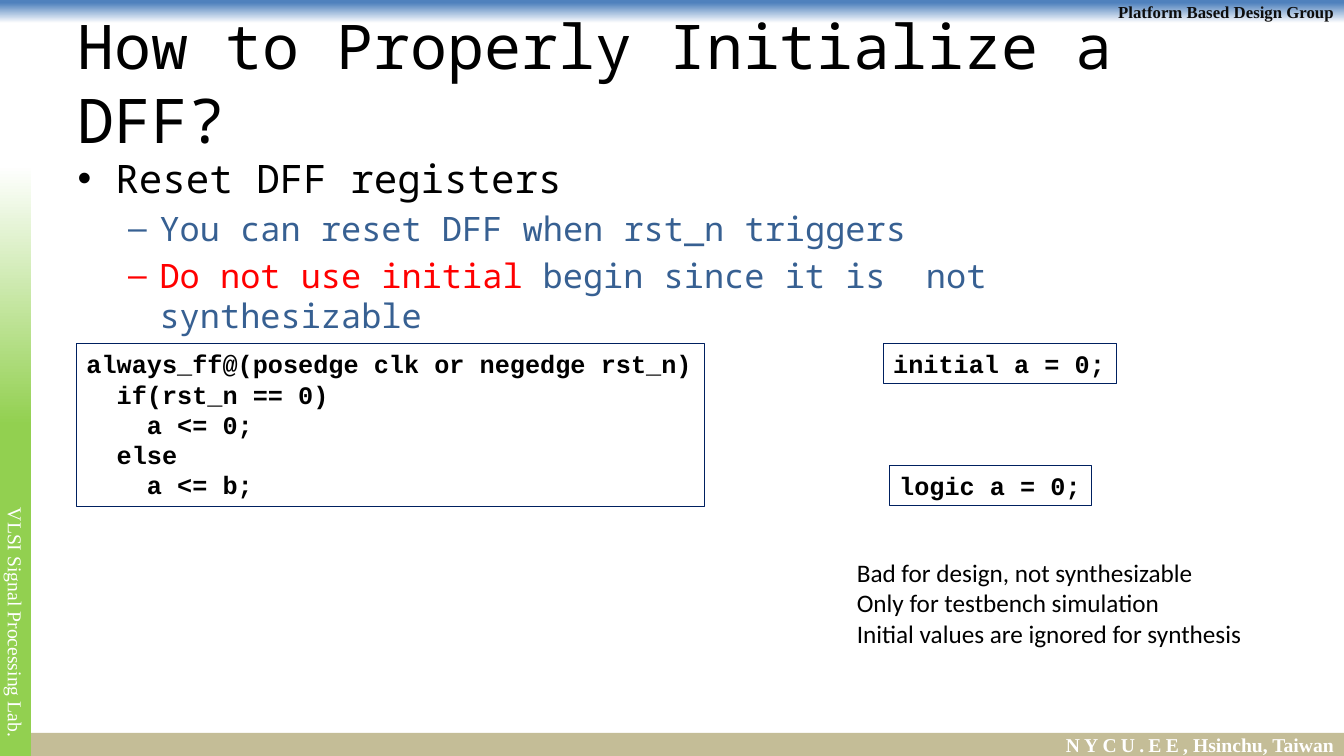
from dataclasses import dataclass

from pptx import Presentation
from pptx.dml.color import RGBColor
from pptx.enum.shapes import MSO_SHAPE as Shape
from pptx.enum.text import MSO_ANCHOR as Anchor, MSO_AUTO_SIZE as AutoSize, PP_ALIGN as Align
from pptx.util import Inches, Pt

SLIDE_W, SLIDE_H = 13.33, 7.5
BAR_H = 0.23
SANS_MONO, SERIF, CODE, PLAIN = "Noto Sans Mono", "Times New Roman", "Courier New", "Calibri"
BLACK, WHITE, NAVY, BLUE, RED = "000000", "FFFFFF", "002060", "376092", "FF0000"


@dataclass(frozen=True)
class Style:
    font: str
    size: float
    color: str = BLACK
    bold: bool = False
    spacing: float = 0


@dataclass(frozen=True)
class Gradient:
    start: int
    color: str
    angle: int


@dataclass(frozen=True)
class Bar:
    box: tuple[float, float, float, float]
    fill: str | Gradient
    runs: list[tuple[str, Style]]
    align: Align
    vertical_inset: float | None = None


@dataclass(frozen=True)
class Note:
    box: tuple[float, float, float, float]
    lines: list[str]
    style: Style
    border: str | None = None


LAB = Style(SERIF, 14, WHITE)
CITY = Style(SERIF, 14, WHITE, bold=True)
SCHOOL = Style(SERIF, 14, WHITE, bold=True, spacing=3)
GROUP = Style(SERIF, 12, "0D0D0D", bold=True)
CODE_STYLE = Style(CODE, 18, bold=True)
POINT = Style(SANS_MONO, 28)
DETAIL = Style(SANS_MONO, 24, BLUE)
WARNING = Style(SANS_MONO, 24, RED)

BARS = [
    Bar((0, 0, SLIDE_W, BAR_H), Gradient(12, "4F81BD", 270),
        [("Platform Based Design Group", GROUP)], Align.RIGHT),
    Bar((0, SLIDE_H - BAR_H, SLIDE_W, BAR_H), "C4BD97",
        [("NYCU.EE", SCHOOL), (", Hsinchu, Taiwan", CITY)], Align.RIGHT),
    Bar((0, 1.64, 0.31, 5.86), Gradient(56, "92D050", 90),
        [("VLSI Signal Processing Lab.", LAB)], Align.CENTER, vertical_inset=3.31),
]

BULLETS = [
    (0, [("Reset DFF registers", POINT)]),
    (1, [("You can reset DFF when rst_n triggers", DETAIL)]),
    (1, [("Do not use initial ", WARNING),
         ("begin since it is  not  synthesizable", DETAIL)]),
]

NOTES = [
    Note((0.76, 3.41, 6.23, 1.62),
         ["always_ff@(posedge clk or negedge rst_n)",
          "  if(rst_n == 0)",
          "    a <= 0;",
          "  else",
          "    a <= b;"], CODE_STYLE, NAVY),
    Note((8.76, 3.41, 2.31, 0.4), ["initial a = 0;"], CODE_STYLE, NAVY),
    Note((8.82, 4.62, 2.01, 0.4), ["logic a = 0;"], CODE_STYLE, NAVY),
    Note((8.4, 5.48, 4.06, 1.01),
         ["Bad for design, not synthesizable",
          "Only for testbench simulation",
          "Initial values are ignored for synthesis"], Style(PLAIN, 18)),
]


def rgb(color: str) -> RGBColor:
    return RGBColor.from_string(color)


def add_runs(paragraph, runs: list[tuple[str, Style]]) -> None:
    for text, style in runs:
        run = paragraph.add_run()
        run.text = text
        run.font.name = style.font
        run.font.size = Pt(style.size)
        run.font.bold = style.bold
        run.font.color.rgb = rgb(style.color)
        if style.spacing:
            run.font._element.set("spc", str(int(style.spacing * 100)))


def next_paragraph(frame, index: int):
    return frame.add_paragraph() if index else frame.paragraphs[0]


def add_bar(slide, bar: Bar) -> None:
    shape = slide.shapes.add_shape(Shape.RECTANGLE, *map(Inches, bar.box))
    shape.shadow.inherit = False
    shape.line.fill.background()
    if isinstance(bar.fill, Gradient):
        shape.fill.gradient()
        shape.fill.gradient_angle = bar.fill.angle
        stops = [(bar.fill.start / 100, bar.fill.color), (1, WHITE)]
        for stop, (position, color) in zip(shape.fill.gradient_stops, stops):
            stop.position = position
            stop.color.rgb = rgb(color)
    else:
        shape.fill.solid()
        shape.fill.fore_color.rgb = rgb(bar.fill)
    frame = shape.text_frame
    frame.vertical_anchor = Anchor.MIDDLE
    if bar.vertical_inset is not None:
        frame.margin_top = Inches(bar.vertical_inset)
        frame._txBody.bodyPr.set("vert", "vert")
    frame.paragraphs[0].alignment = bar.align
    add_runs(frame.paragraphs[0], bar.runs)


def place(slide, placeholder, box: tuple[float, float, float, float], anchor: Anchor):
    """Move a placeholder in front of the bars and return its text frame."""
    slide.shapes._spTree.append(placeholder._element)
    placeholder.left, placeholder.top, placeholder.width, placeholder.height = map(Inches, box)
    frame = placeholder.text_frame
    frame.word_wrap = True
    frame.auto_size = AutoSize.NONE
    frame.vertical_anchor = anchor
    return frame


def add_note(slide, note: Note) -> None:
    textbox = slide.shapes.add_textbox(*map(Inches, note.box))
    if note.border:
        textbox.line.color.rgb = rgb(note.border)
        textbox.line.width = Pt(0.75)
    frame = textbox.text_frame
    frame.word_wrap = False
    frame.auto_size = AutoSize.SHAPE_TO_FIT_TEXT
    for index, line in enumerate(note.lines):
        add_runs(next_paragraph(frame, index), [(line, note.style)])


def main() -> None:
    deck = Presentation()
    deck.slide_width, deck.slide_height = Inches(SLIDE_W), Inches(SLIDE_H)
    slide = deck.slides.add_slide(deck.slide_layouts[1])

    for bar in BARS:
        add_bar(slide, bar)

    title = place(slide, slide.shapes.title, (0.67, 0.3, 12, 1.03), Anchor.MIDDLE)
    title.paragraphs[0].alignment = Align.LEFT
    add_runs(title.paragraphs[0], [("How to Properly Initialize a DFF?", Style(SANS_MONO, 44))])

    body = place(slide, slide.placeholders[1], (0.67, 1.48, 12, 5.47), Anchor.TOP)
    for index, (level, runs) in enumerate(BULLETS):
        paragraph = next_paragraph(body, index)
        paragraph.level = level
        add_runs(paragraph, runs)
    body.paragraphs[0].space_before = Pt(0)

    for note in NOTES:
        add_note(slide, note)

    deck.save("out.pptx")


if __name__ == "__main__":
    main()
